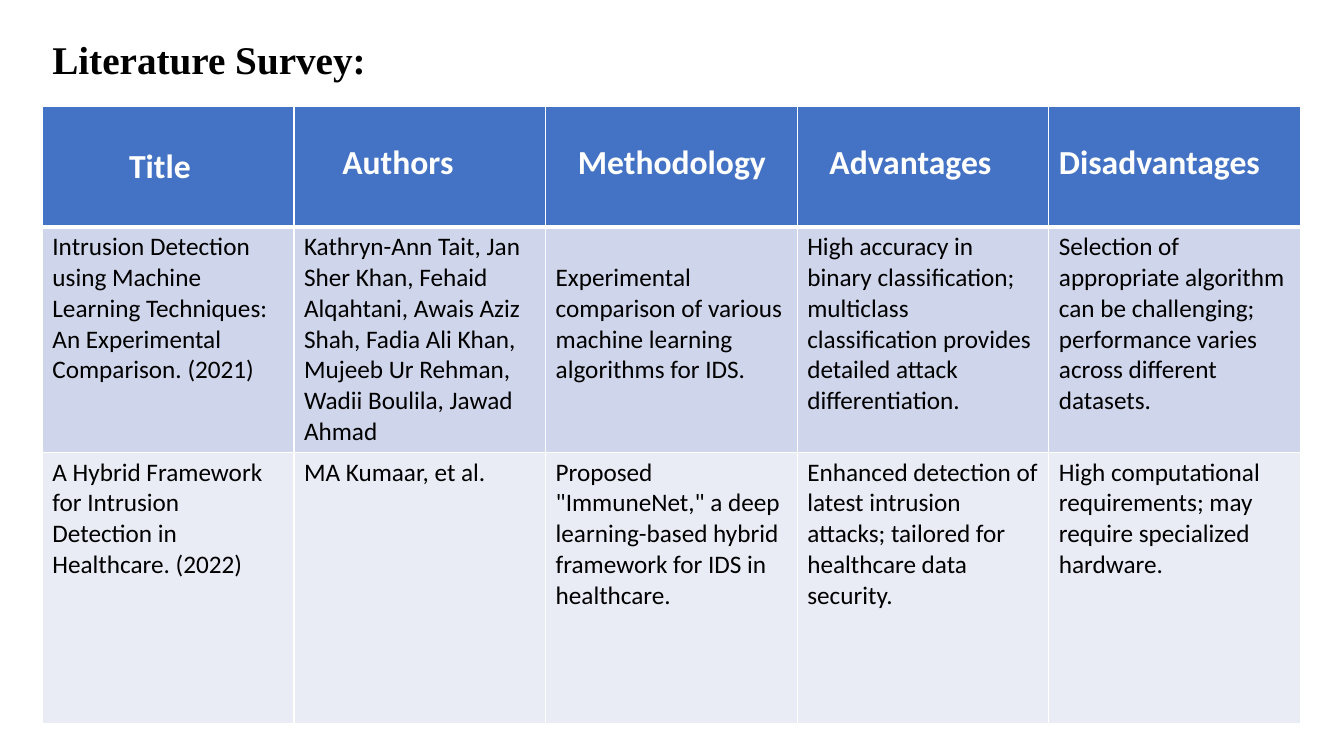
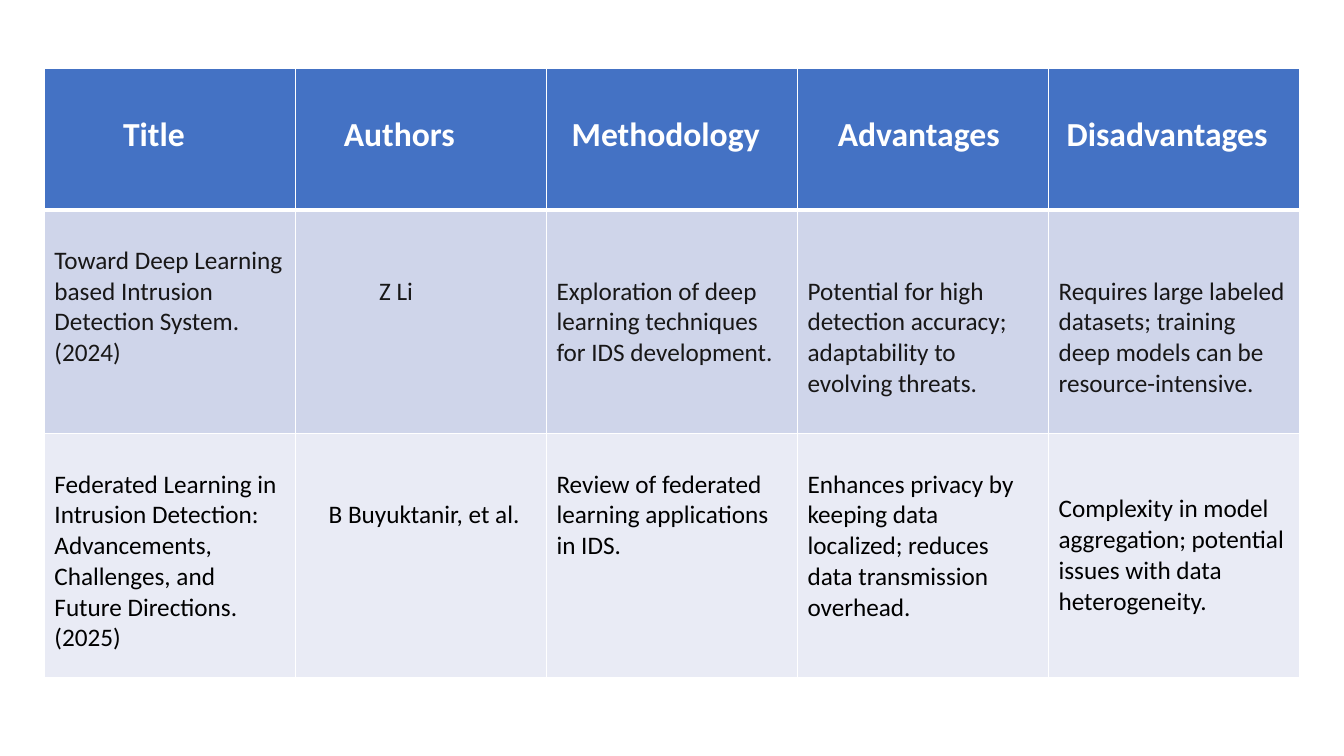
"""Build two slides that survey papers on intrusion detection."""
from dataclasses import dataclass

from lxml.etree import SubElement
from pptx import Presentation
from pptx.dml.color import RGBColor as Rgb
from pptx.enum.text import MSO_ANCHOR as Anchor, MSO_AUTO_SIZE as Auto
from pptx.oxml.ns import qn
from pptx.slide import Slide
from pptx.table import _Cell as TableCell
from pptx.text.text import Font
from pptx.util import Inches, Pt

WIDE, HIGH = 13.33, 7.5
WHITE, BLACK, INK = "FFFFFF", "000000", "181717"
FILLS = ("4472C4", "CFD5EA", "E9EBF5")
HEADS = ("Title", "Authors", "Methodology", "Advantages", "Disadvantages")
BODY, HEAD = 18, 24
PAD, EDGE = 0.1, 0.05
LINE = 0.305


@dataclass(frozen=True)
class Cell:
    """Text of a cell, with the gap above it in body lines and its indent in inches."""
    text: str
    gap: float = 0
    left: float = PAD
    mid: bool = False


@dataclass(frozen=True)
class Grid:
    """Place, row heights and contents of one survey table."""
    left: float
    top: float
    width: float
    rows: tuple[float, ...]
    inks: tuple[str, ...]
    cells: tuple[tuple[Cell, ...], ...]


def color(code: str) -> Rgb:
    """Turn a hex string into a colour."""
    return Rgb.from_string(code)


def style(font: Font, name: str, size: float, code: str, bold: bool) -> None:
    """Set the look of a font."""
    font.name, font.size, font.bold = name, Pt(size), bold
    font.color.rgb = color(code)


def border(cell: TableCell, row: int) -> None:
    """Draw white cell borders, thick between the header and the body."""
    props = cell._tc.get_or_add_tcPr()
    for side in "LRTB":
        thick = (row, side) in ((0, "B"), (1, "T"))
        line = SubElement(props, qn(f"a:ln{side}"), w=str(Pt(3 if thick else 1)))
        fill = SubElement(line, qn("a:solidFill"))
        SubElement(fill, qn("a:srgbClr"), val=WHITE)


def draw_cell(cell: TableCell, item: Cell, row: int, ink: str) -> None:
    """Fill one table cell with its text and colours."""
    border(cell, row)
    cell.fill.solid()
    cell.fill.fore_color.rgb = color(FILLS[row])
    cell.margin_left, cell.margin_right = Inches(item.left), Inches(PAD if row else 0)
    cell.margin_top = Inches(EDGE + item.gap * LINE)
    cell.margin_bottom = Inches(EDGE)
    cell.vertical_anchor = Anchor.MIDDLE if item.mid else Anchor.TOP
    cell.text_frame.text = item.text
    run = cell.text_frame.paragraphs[0].runs[0]
    style(run.font, "Calibri", BODY if row else HEAD, ink, row == 0)


def draw_grid(slide: Slide, grid: Grid) -> None:
    """Add a survey table to a slide."""
    spot = map(Inches, (grid.left, grid.top, grid.width, sum(grid.rows)))
    table = slide.shapes.add_table(len(grid.rows), len(HEADS), *spot).table
    for col in table.columns:
        col.width = Inches(grid.width / len(HEADS))
    for row, (high, ink, items) in enumerate(zip(grid.rows, grid.inks, grid.cells)):
        table.rows[row].height = Inches(high)
        for col, item in enumerate(items):
            draw_cell(table.cell(row, col), item, row, ink)


def draw_title(slide: Slide, text: str) -> None:
    """Add the slide title."""
    frame = slide.shapes.add_textbox(*map(Inches, (0.42, 0.3, 4.19, 0.57))).text_frame
    frame.word_wrap, frame.auto_size = True, Auto.SHAPE_TO_FIT_TEXT
    frame.text = text
    style(frame.paragraphs[0].runs[0].font, "Times New Roman", 28, BLACK, True)


def header(gap: float, lefts: tuple[float, ...], mid: bool = False) -> tuple[Cell, ...]:
    """Make the header row; mid centres its first cell."""
    first = Cell(HEADS[0], 0 if mid else gap, lefts[0], mid)
    rest = (Cell(name, gap, left) for name, left in zip(HEADS[1:], lefts[1:]))
    return first, *rest


EARLY = Grid(0.42, 1.06, 12.48, (1.19, 2.23, 2.69), (WHITE, BLACK, BLACK), (
    header(1, (0.86, 0.48, 0.32, 0.32, PAD), mid=True),
    (
        Cell("Intrusion Detection using Machine Learning Techniques: "
             "An Experimental Comparison. (2021)"),
        Cell("Kathryn-Ann Tait, Jan Sher Khan, Fehaid Alqahtani, Awais Aziz Shah, "
             "Fadia Ali Khan, Mujeeb Ur Rehman, Wadii Boulila, Jawad Ahmad"),
        Cell("Experimental comparison of various machine learning algorithms for IDS.", 1),
        Cell("High accuracy in binary classification; multiclass classification "
             "provides detailed attack differentiation."),
        Cell("Selection of appropriate algorithm can be challenging; "
             "performance varies across different datasets."),
    ),
    (
        Cell("A Hybrid Framework for Intrusion Detection in Healthcare. (2022)"),
        Cell("MA Kumaar, et al."),
        Cell('Proposed "ImmuneNet," a deep learning-based hybrid framework '
             "for IDS in healthcare."),
        Cell("Enhanced detection of latest intrusion attacks; "
             "tailored for healthcare data security."),
        Cell("High computational requirements; may require specialized hardware."),
    ),
))

LATE = Grid(0.44, 0.68, 12.45, (1.4, 2.22, 2.42), (WHITE, INK, BLACK), (
    header(HEAD / BODY, (0.78, 0.48, 0.25, 0.4, 0.18)),
    (
        Cell("Toward Deep Learning based Intrusion Detection System. (2024)", 1),
        Cell("Z Li", 2, 0.83),
        Cell("Exploration of deep learning techniques for IDS development.", 2),
        Cell("Potential for high detection accuracy; adaptability to evolving threats.", 2),
        Cell("Requires large labeled datasets; training deep models "
             "can be resource-intensive.", 2),
    ),
    (
        Cell("Federated Learning in Intrusion Detection: Advancements, Challenges, "
             "and Future Directions. (2025)", 1),
        Cell("B Buyuktanir, et al.", 2, 0.33),
        Cell("Review of federated learning applications in IDS.", 1),
        Cell("Enhances privacy by keeping data localized; "
             "reduces data transmission overhead.", 1),
        Cell("Complexity in model aggregation; potential issues "
             "with data heterogeneity.", mid=True),
    ),
))


def main() -> None:
    """Build and save the deck."""
    deck = Presentation()
    deck.slide_width, deck.slide_height = Inches(WIDE), Inches(HIGH)
    blank = deck.slide_layouts[6]
    for grid, title in ((EARLY, "Literature Survey:"), (LATE, "")):
        slide = deck.slides.add_slide(blank)
        draw_grid(slide, grid)
        if title:
            draw_title(slide, title)
    deck.save("out.pptx")


if __name__ == "__main__":
    main()
